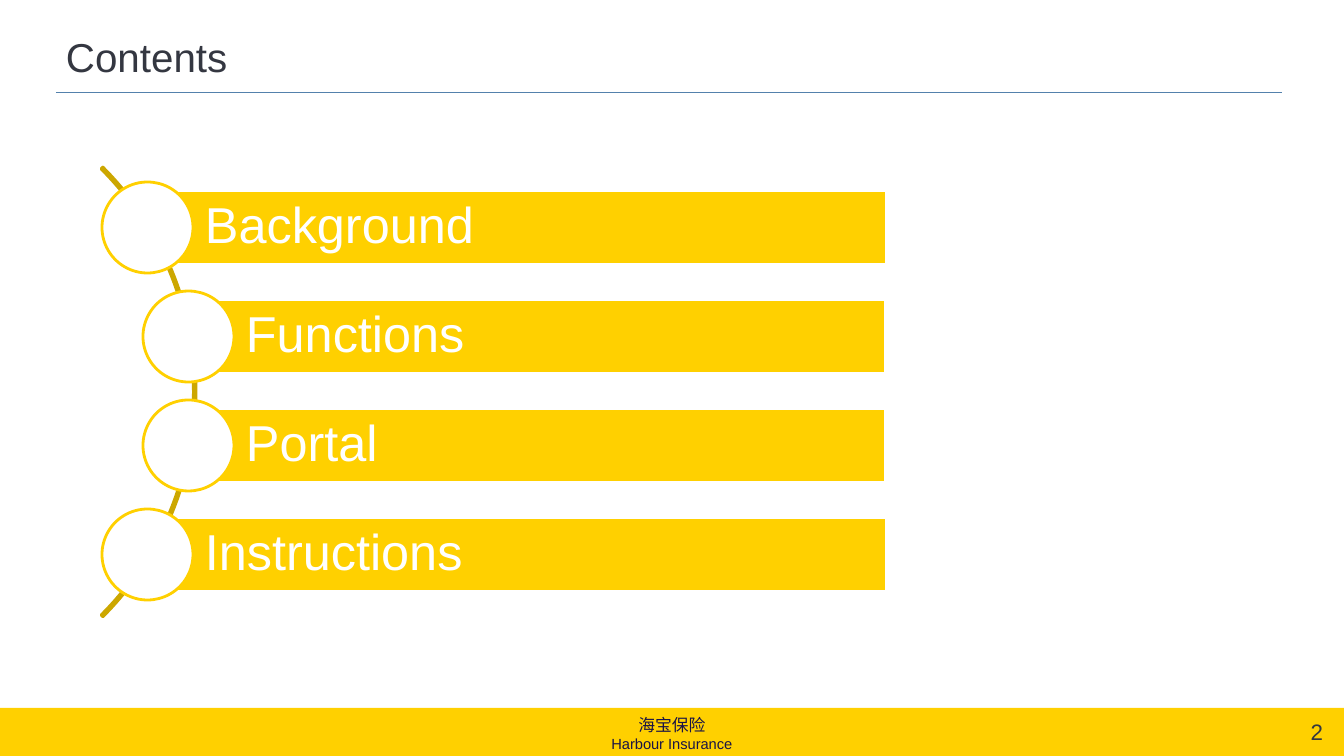
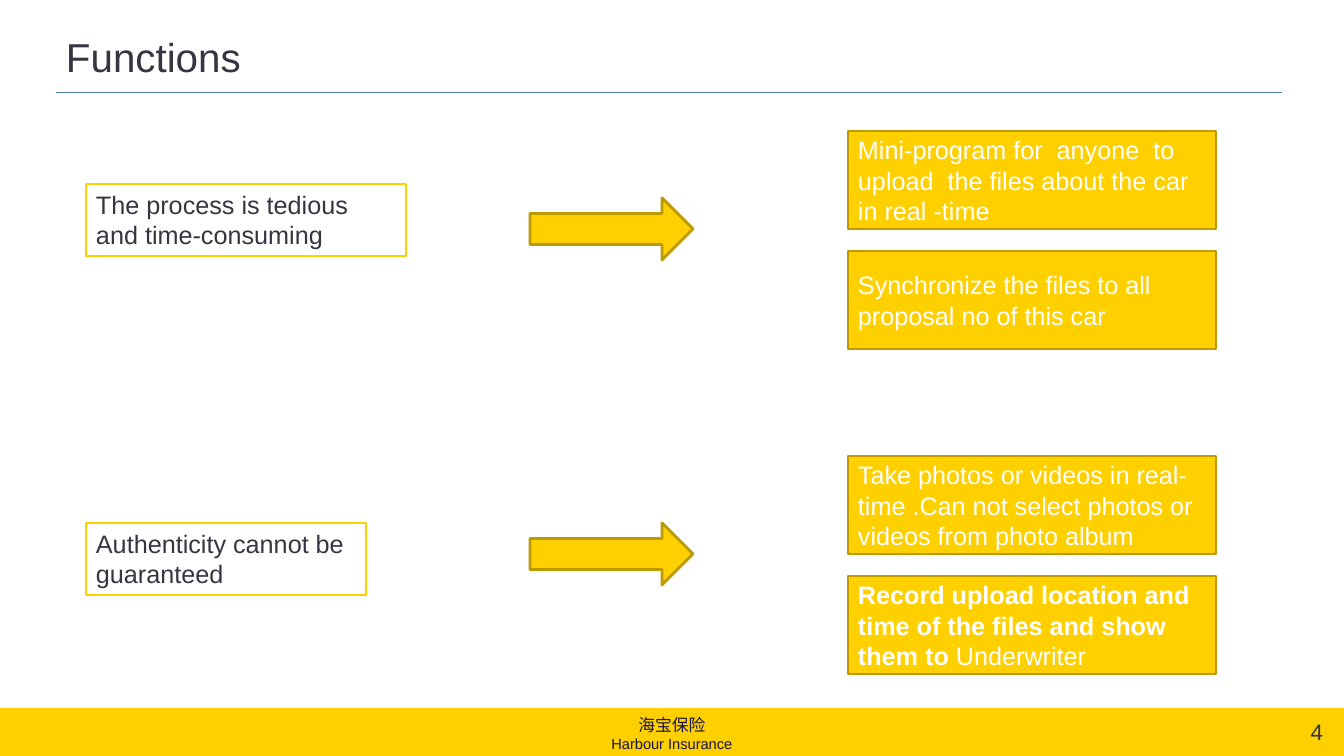
from lxml import etree
from pptx import Presentation
from pptx.dml.color import RGBColor
from pptx.enum import shapes, text
from pptx.oxml import ns
from pptx.util import Emu, Pt

PX = 12192000 / 1344
WIDTH, HEIGHT = 1344, 756
FONT = "Arial"
YELLOW = RGBColor(0xFF, 0xD0, 0x00)
DARK_YELLOW = RGBColor(0xBD, 0x9A, 0x00)
ARC_YELLOW = RGBColor(0xCC, 0xA7, 0x00)
WHITE = RGBColor(0xFF, 0xFF, 0xFF)
CHARCOAL = RGBColor(0x34, 0x37, 0x41)
NAVY = RGBColor(0x1A, 0x14, 0x46)
RULE_BLUE = RGBColor(0x53, 0x81, 0xAC)

Kind = shapes.MSO_SHAPE
Align = text.PP_ALIGN
Anchor = text.MSO_ANCHOR
TEXT_INSETS = (10, 5, 10, 5)
NO_INSETS = (0, 0, 0, 0)


def px(*lengths):
    return [Emu(round(length * PX)) for length in lengths]


def write(shape, runs, size, color, align=Align.LEFT, anchor=Anchor.MIDDLE,
          insets=TEXT_INSETS, line_spacing=None):
    frame = shape.text_frame
    frame.word_wrap = True
    frame.vertical_anchor = anchor
    (frame.margin_left, frame.margin_top,
     frame.margin_right, frame.margin_bottom) = px(*insets)
    paragraph = frame.paragraphs[0]
    paragraph.alignment = align
    paragraph.line_spacing = line_spacing
    font = paragraph.font
    font.name, font.size, font.color.rgb = FONT, Pt(size), color
    for wording, bold in runs:
        run = paragraph.add_run()
        run.text = wording
        if bold:
            run.font.bold = True


def add_label(slide, box, wording, size, color, **style):
    label = slide.shapes.add_textbox(*px(*box))
    write(label, [(wording, False)], size, color, **style)


def add_figure(slide, kind, box, fill=None, line=None):
    shape = slide.shapes.add_shape(kind, *px(*box))
    shape.shadow.inherit = False
    if fill is None:
        shape.fill.background()
    else:
        shape.fill.solid()
        shape.fill.fore_color.rgb = fill
    if line is None:
        shape.line.fill.background()
    else:
        shape.line.color.rgb = line
        shape.line.width = Pt(2)
    return shape


def add_rule(slide, left, right, y):
    rule = slide.shapes.add_connector(
        shapes.MSO_CONNECTOR.STRAIGHT, *px(left, y, right, y))
    rule.line.color.rgb = RULE_BLUE
    rule.line.width = Pt(0.75)
    etree.SubElement(rule._element.spPr, ns.qn("a:effectLst"))


def add_page(presentation, title, number):
    slide = presentation.slides.add_slide(presentation.slide_layouts[6])
    add_rule(slide, 56, 1282, 93)
    add_figure(slide, Kind.RECTANGLE, (0, 708, WIDTH, 48), YELLOW)
    for wording, top, size in (("海宝保险", 712, 12),
                               ("Harbour Insurance", 731, 10.5)):
        add_label(slide, (571, top, 202, 25), wording, size, NAVY,
                  align=Align.CENTER, insets=NO_INSETS)
    add_label(slide, (56, 30, 1221, 53), title, 28.8, CHARCOAL)
    add_label(slide, (1232, 720, 101, 24), str(number), 16, CHARCOAL,
              align=Align.RIGHT)
    return slide


def add_contents(slide, topics):
    arc = add_figure(slide, Kind.BLOCK_ARC, (-440, 74, 636, 636),
                     line=ARC_YELLOW)
    for index, value in enumerate((189, 27, 0.004)):
        arc.adjustments[index] = value
    diameter, pitch, bar_right = 91, 109, 886
    for row, topic in enumerate(topics):
        top = 182 + row * pitch
        circle_left = 102 if row in (0, len(topics) - 1) else 143
        bar_left = circle_left + diameter // 2
        bar = add_figure(slide, Kind.RECTANGLE,
                         (bar_left, top + 9, bar_right - bar_left, 73),
                         YELLOW, WHITE)
        write(bar, [(topic, False)], 36, WHITE,
              insets=(58, 10, 10, 10), line_spacing=0.9)
        add_figure(slide, Kind.OVAL, (circle_left, top, diameter, diameter),
                   WHITE, YELLOW)


def add_problem(slide, top, width, wording):
    box = add_figure(slide, Kind.RECTANGLE, (86, top, width, 72),
                     WHITE, YELLOW)
    write(box, [(wording, False)], 18, CHARCOAL, anchor=Anchor.TOP)


def add_solutions(slide, top, solutions):
    for row, runs in enumerate(solutions):
        box = add_figure(slide, Kind.RECTANGLE,
                         (848, top + row * 120, 368, 98),
                         YELLOW, DARK_YELLOW)
        write(box, runs, 18, WHITE)


def add_arrow(slide, top):
    add_figure(slide, Kind.RIGHT_ARROW, (530, top, 163, 62),
               YELLOW, DARK_YELLOW)


def main():
    presentation = Presentation()
    presentation.slide_width, presentation.slide_height = px(WIDTH, HEIGHT)

    contents = add_page(presentation, "Contents", 2)
    add_contents(contents,
                 ("Background", "Functions", "Portal", "Instructions"))

    functions = add_page(presentation, "Functions", 4)
    add_problem(functions, 184, 320, "The process is tedious and time-consuming")
    add_arrow(functions, 198)
    add_solutions(functions, 131, (
        [("Mini-program for  anyone  to upload  the files about the car "
          "in real -time", False)],
        [("Synchronize the files to all proposal no of this car", False)],
    ))
    add_problem(functions, 523, 280, "Authenticity cannot be guaranteed")
    add_arrow(functions, 523)
    add_solutions(functions, 456, (
        [("Take photos or videos in real-time .Can not select photos or "
          "videos from photo album", False)],
        [("Record upload location and time of the files and show them to ",
          True), ("Underwriter", False)],
    ))

    presentation.save("out.pptx")


if __name__ == "__main__":
    main()
